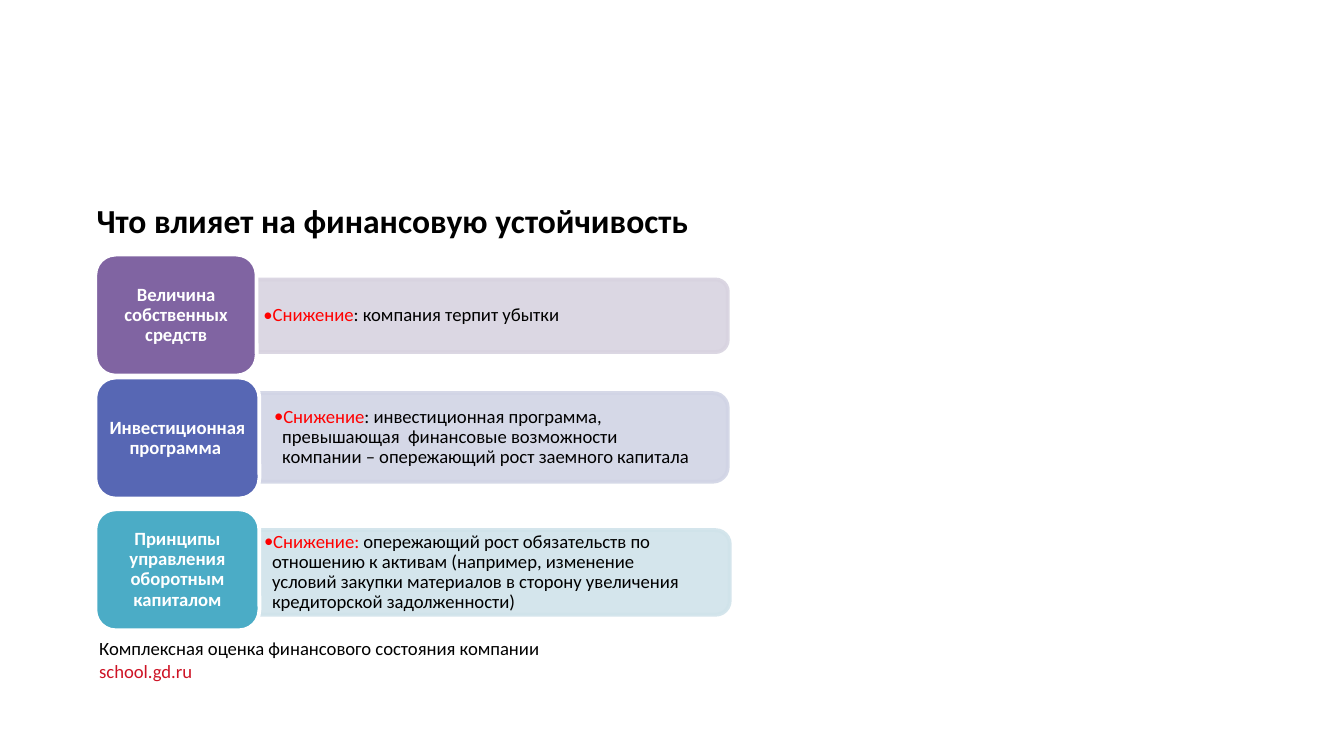
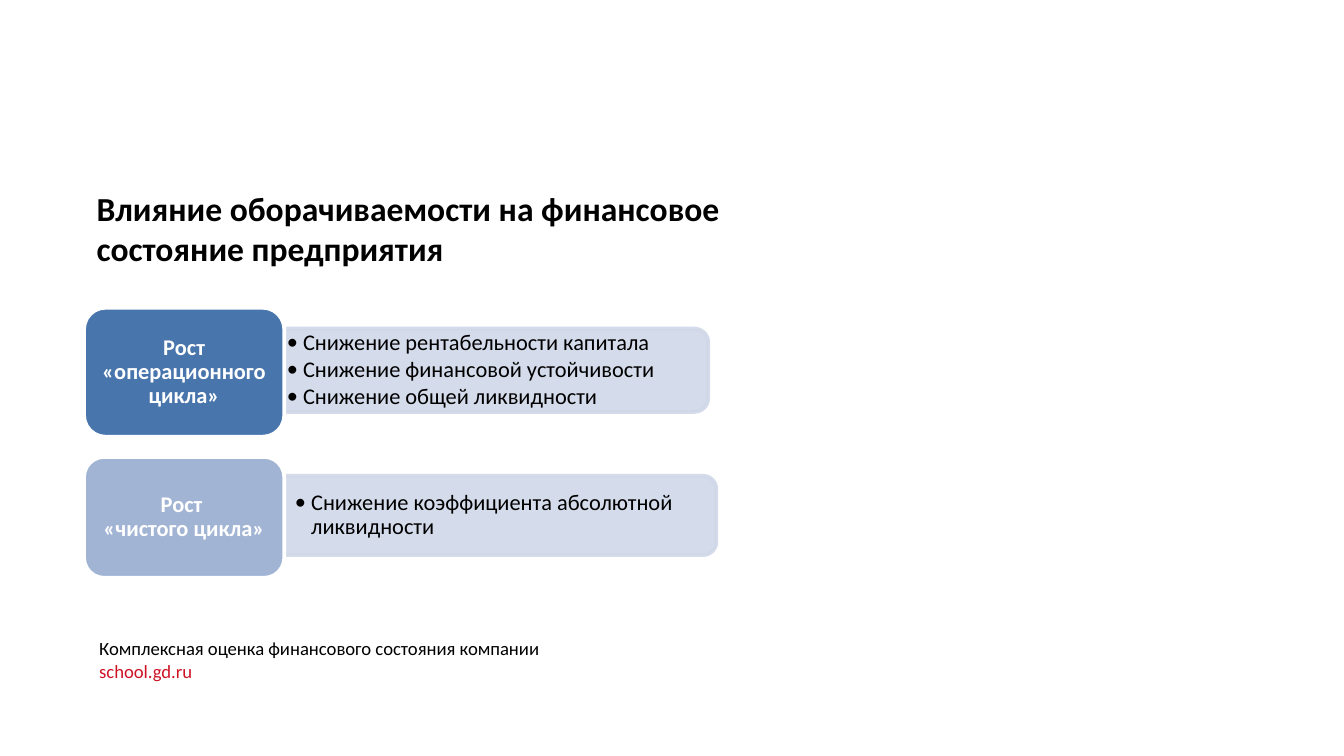
from dataclasses import dataclass

from lxml import etree
from pptx import Presentation
from pptx.dml.color import RGBColor
from pptx.enum.shapes import MSO_SHAPE
from pptx.enum.text import MSO_ANCHOR, MSO_AUTO_SIZE, PP_ALIGN
from pptx.oxml.ns import qn
from pptx.util import Pt

ROUNDED = MSO_SHAPE.ROUNDED_RECTANGLE
ROUNDED_END = MSO_SHAPE.ROUND_2_SAME_RECTANGLE
TOP, MIDDLE = MSO_ANCHOR.TOP, MSO_ANCHOR.MIDDLE
LEFT, CENTER = PP_ALIGN.LEFT, PP_ALIGN.CENTER
FIT_TEXT = MSO_AUTO_SIZE.SHAPE_TO_FIT_TEXT
EMU_PER_PX = 4572  # 200 px to the inch


@dataclass(frozen=True)
class Theme:
    font: str = "Calibri"
    ink: str = "000000"
    white: str = "FFFFFF"
    accent: str = "FF0000"
    link: str = "CE1325"
    title_size: int = 18
    footer_size: int = 10
    line_width: int = 2
    panel_opacity: int = 90
    line_spacing: float = 0.9
    bullet_gap: float = 1.7


@dataclass(frozen=True)
class RowStyle:
    text_size: int
    bullet_indent: int
    label_inset: tuple


THEME = Theme()
COMPACT = RowStyle(text_size=10, bullet_indent=12, label_inset=(8, 4))
ROOMY = RowStyle(text_size=12, bullet_indent=24, label_inset=(10, 6))

FOOTER = ("Комплексная оценка финансового состояния компании", "school.gd.ru")

# Each row: label, tile colour, tile box, panel colour, panel box, bullets.
# Each bullet is a pair: highlighted lead, plain rest.
STABILITY_ROWS = (
    ("Величина собственных средств", "8064A2", (142, 379, 240, 180),
     "D8D3E0", (337, 416, 746, 108),
     (("Снижение", ": компания терпит убытки"),)),
    ("Инвестиционная программа ", "5767B4", (142, 562, 244, 180),
     "D1D4E5", (353, 585, 730, 132),
     (("Снижение", ": инвестиционная программа,  превышающая  финансовые "
       "возможности компании – опережающий рост заемного капитала"),)),
    ("Принципы управления оборотным капиталом", "4BACC6", (142, 758, 244, 180),
     "D0E3EA", (338, 789, 748, 126),
     (("Снижение: ", "опережающий рост обязательств по отношению к активам "
       "(например, изменение условий закупки материалов в сторону увеличения "
       "кредиторской задолженности)"),)),
)
TURNOVER_ROWS = (
    ("Рост «операционного цикла»", "4875AC", (125, 458, 298, 192),
     "D0D8E8", (372, 489, 682, 124),
     (("", "Снижение рентабельности капитала"),
      ("", "Снижение финансовой устойчивости"),
      ("", "Снижение общей ликвидности"))),
    ("Рост \v«чистого цикла»", "A2B4D4", (125, 680, 298, 180),
     "D0D8E8", (384, 708, 682, 118),
     (("", "Снижение коэффициента абсолютной ликвидности"),)),
)


def px(value):
    return int(value * EMU_PER_PX)


def rgb(colour):
    return RGBColor.from_string(colour)


def style_font(font, size, colour, bold=False):
    font.name = THEME.font
    font.size = Pt(size)
    font.bold = bold
    font.color.rgb = rgb(colour)


def add_text_frame(page, box, inset=(20, 10), anchor=TOP):
    frame = page.shapes.add_textbox(*map(px, box)).text_frame
    frame.word_wrap = True
    frame.vertical_anchor = anchor
    frame.margin_left = frame.margin_right = px(inset[0])
    frame.margin_top = frame.margin_bottom = px(inset[1])
    return frame


def add_filled_shape(page, kind, box, fill, line):
    shape = page.shapes.add_shape(kind, *map(px, box))
    shape.shadow.inherit = False
    shape.fill.solid()
    shape.fill.fore_color.rgb = rgb(fill)
    shape.line.color.rgb = rgb(line)
    shape.line.width = Pt(THEME.line_width)
    return shape


def set_opacity(shape, percent):
    """Make both the fill and the outline partly transparent."""
    for colour in shape._element.spPr.iter(qn("a:srgbClr")):
        alpha = etree.SubElement(colour, qn("a:alpha"))
        alpha.set("val", str(percent * 1000))


def add_bullet(para, indent):
    properties = para._p.get_or_add_pPr()
    properties.set("marL", str(px(indent)))
    properties.set("indent", str(-px(indent)))
    etree.SubElement(properties, qn("a:buFont")).set("typeface", THEME.font)
    etree.SubElement(properties, qn("a:buChar")).set("char", "•")


def draw_panel(page, box, colour, bullets, style):
    """Draw a panel rounded on its right side, with bulleted text over it."""
    left, top, width, height = box
    turned = (left + (width - height) / 2, top + (height - width) / 2,
              height, width)
    panel = add_filled_shape(page, ROUNDED_END, turned, colour, colour)
    panel.rotation = 90
    set_opacity(panel, THEME.panel_opacity)

    frame = add_text_frame(page, (left + 1, top + 5, width - 5, height - 10),
                           (54, 28), MIDDLE)
    for index, (lead, rest) in enumerate(bullets):
        para = frame.add_paragraph() if index else frame.paragraphs[0]
        add_bullet(para, style.bullet_indent)
        para.level = 1
        para.alignment = LEFT
        para.line_spacing = THEME.line_spacing
        para.space_after = Pt(THEME.bullet_gap)
        for text, tint in ((lead, THEME.accent), (rest, THEME.ink)):
            if text:
                span = para.add_run()
                span.text = text
                style_font(span.font, style.text_size, tint)


def draw_tile(page, box, colour, label, style):
    left, top, width, height = box
    add_filled_shape(page, ROUNDED, box, colour, THEME.white)
    frame = add_text_frame(page, (left + 9, top + 9, width - 18, height - 18),
                           style.label_inset, MIDDLE)
    frame.text = label
    para = frame.paragraphs[0]
    para.alignment = CENTER
    para.line_spacing = THEME.line_spacing
    for span in para.runs:
        style_font(span.font, style.text_size, THEME.white, bold=True)


def draw_title(page, box, text):
    frame = add_text_frame(page, box)
    frame.text = text
    style_font(frame.paragraphs[0].runs[0].font, THEME.title_size,
               THEME.ink, bold=True)


def draw_footer(page, box):
    frame = add_text_frame(page, box)
    frame.word_wrap = False
    frame.auto_size = FIT_TEXT
    frame.text = "\n".join(FOOTER)
    for para, colour in zip(frame.paragraphs, (THEME.ink, THEME.link)):
        style_font(para.runs[0].font, THEME.footer_size, colour)


def add_factor_page(deck, title, title_box, rows, style):
    page = deck.slides.add_slide(deck.slide_layouts[6])
    draw_title(page, title_box, title)
    draw_footer(page, (128, 938, 706, 88))
    for label, tile_colour, tile_box, panel_colour, panel_box, bullets in rows:
        draw_panel(page, panel_box, panel_colour, bullets, style)
        draw_tile(page, tile_box, tile_colour, label, style)


def main():
    deck = Presentation()
    deck.slide_width, deck.slide_height = px(2000), px(1125)
    add_factor_page(deck, "Что влияет на финансовую устойчивость",
                    (124, 287, 1170, 92), STABILITY_ROWS, COMPACT)
    add_factor_page(
        deck, "Влияние оборачиваемости на финансовое состояние предприятия",
        (124, 270, 980, 134), TURNOVER_ROWS, ROOMY)
    deck.save("out.pptx")


if __name__ == "__main__":
    main()
